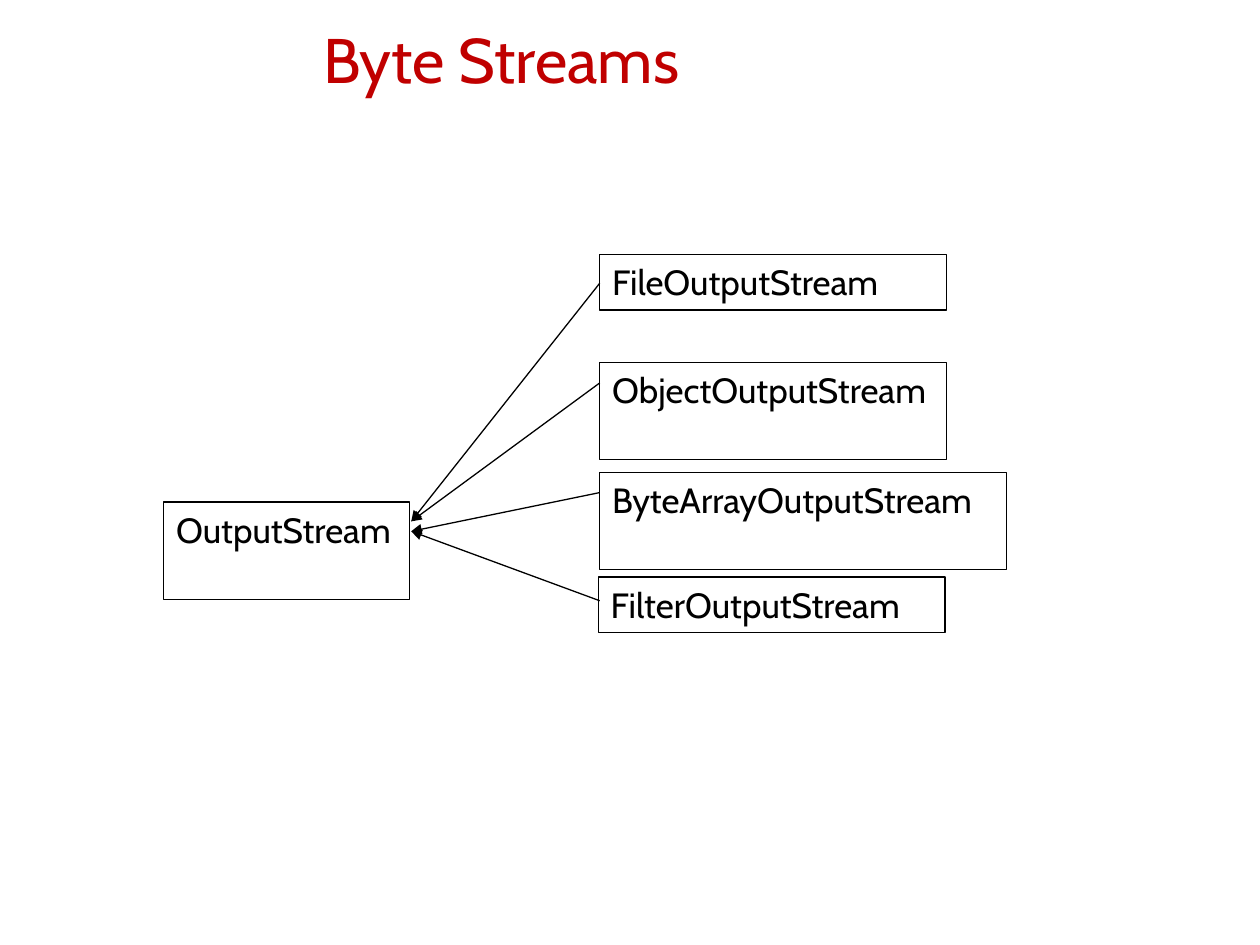
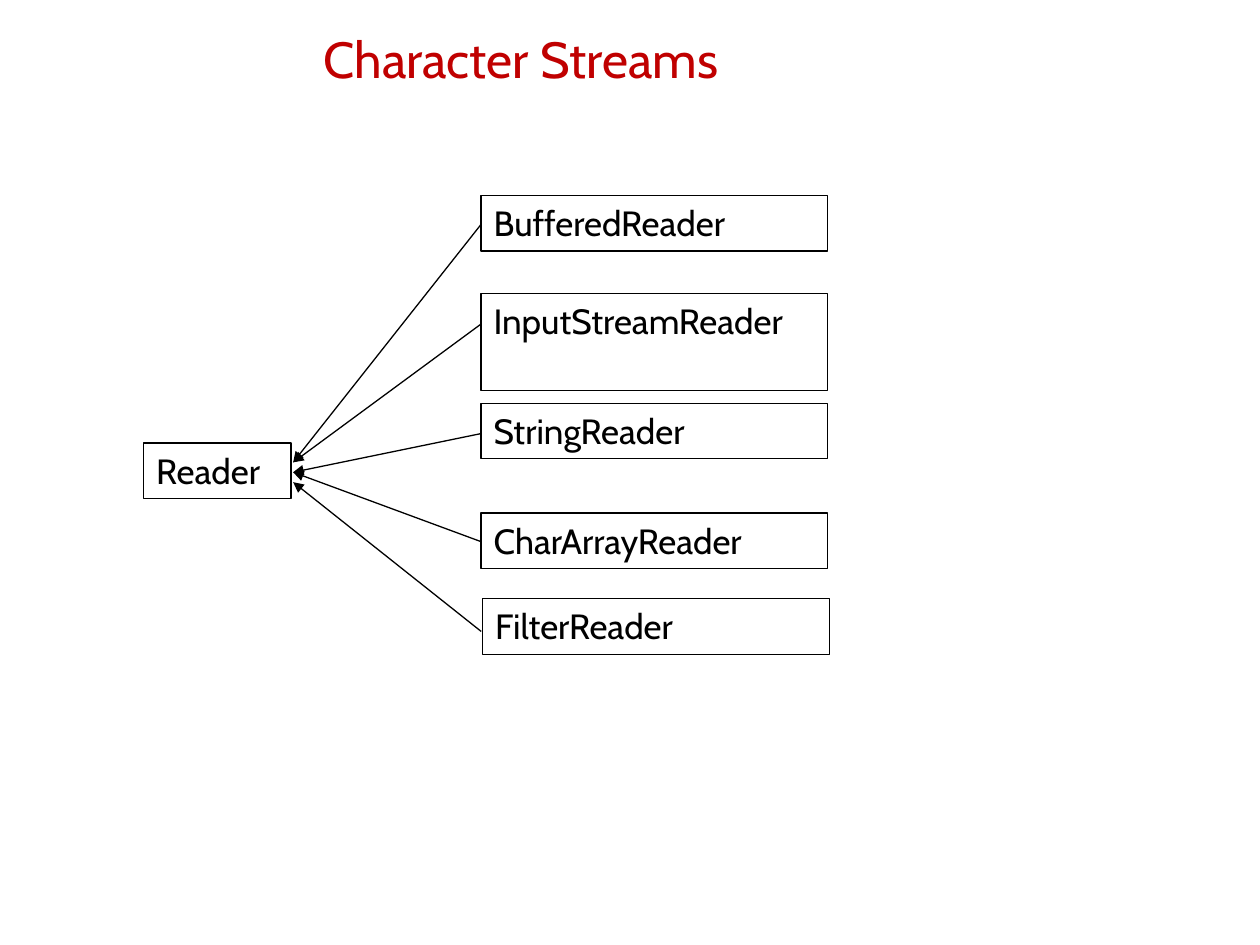
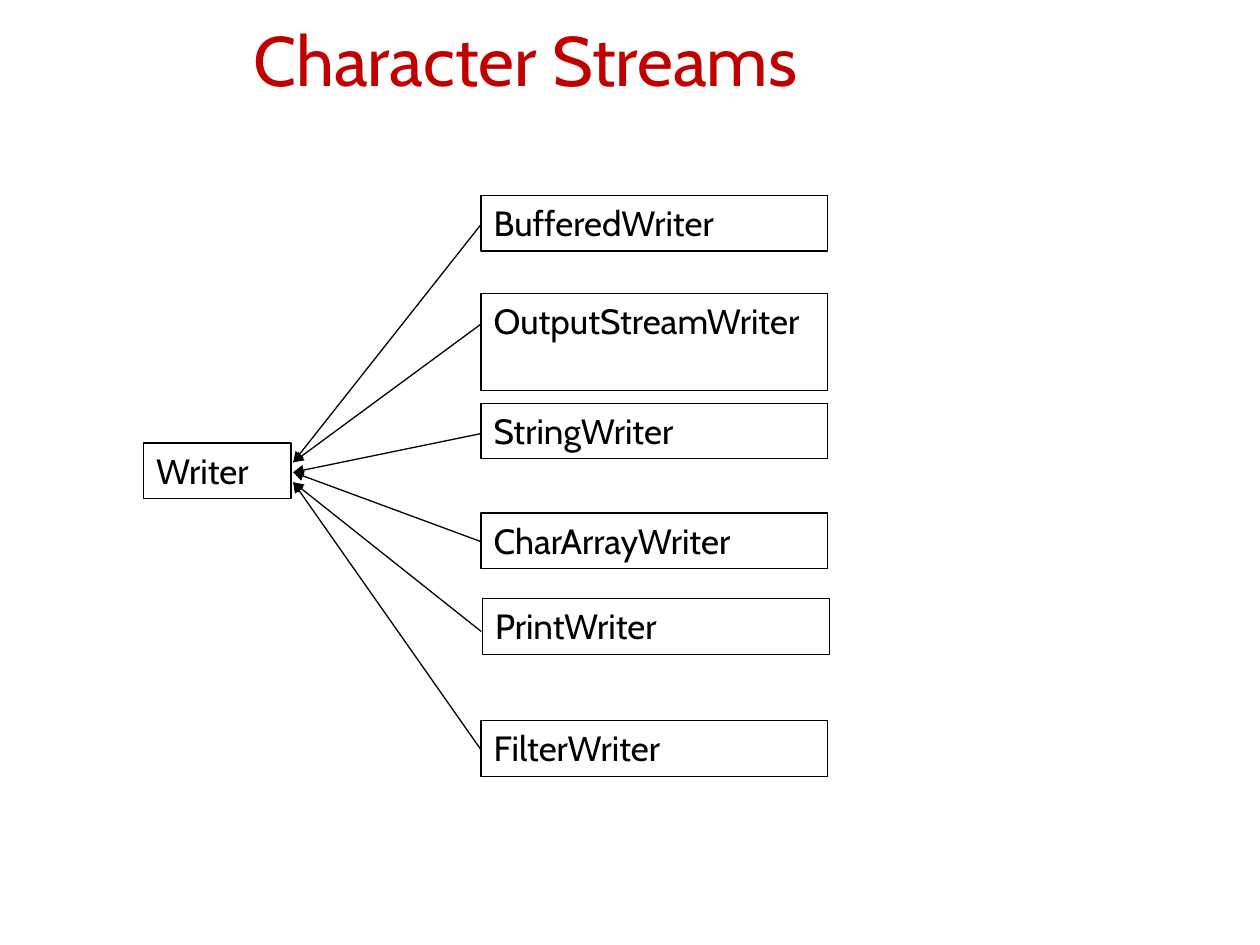
from dataclasses import dataclass

from lxml.etree import SubElement
from pptx import Presentation
from pptx.dml.color import RGBColor
from pptx.enum.shapes import MSO_CONNECTOR, MSO_SHAPE
from pptx.enum.text import MSO_ANCHOR, PP_ALIGN
from pptx.oxml.ns import qn
from pptx.util import Cm, Pt


@dataclass(frozen=True)
class Theme:
    """Colours, type and line sizes shared by all slides."""

    font: str = "Cabin"
    title_color: RGBColor = RGBColor(0xC0, 0x00, 0x00)
    ink: RGBColor = RGBColor(0x00, 0x00, 0x00)
    class_size: Pt = Pt(20)
    class_space: Pt = Pt(12.5)
    line_width: Pt = Pt(0.75)


@dataclass(frozen=True)
class Box:
    """A rectangle given by its left, top, width and height."""

    left: int
    top: int
    width: int
    height: int


@dataclass(frozen=True)
class Subclass:
    """A subclass label with its place below the top of the diagram."""

    name: str
    top: float
    height: float = 1.12
    width: float = 6.99
    shift: float = 0


@dataclass(frozen=True)
class Hierarchy:
    """A superclass and its subclasses, with the sizes of their columns."""

    name: str
    width: float
    height: float
    column: float
    subclasses: tuple


THEME = Theme()
TALL = 1.96
SUPERCLASS_TOP = 4.99
TIP_TOP, TIP_STEP, TIP_GAP = 5.38, 0.2, 0.04
ARROW_STARTS = (0.58, 2.59, 4.8, 6.98, 8.79, 11.18)


def set_text(shape, text, size, color, alignment=PP_ALIGN.LEFT):
    """Write one paragraph in the theme font and return it."""
    shape.text_frame.word_wrap = True
    paragraph = shape.text_frame.paragraphs[0]
    paragraph.text = text
    paragraph.alignment = alignment
    paragraph.font.name = THEME.font
    paragraph.font.size = size
    paragraph.font.color.rgb = color
    return paragraph


def add_title(slide, box, text, size):
    """Add the centred slide title."""
    shape = slide.shapes.add_textbox(box.left, box.top, box.width, box.height)
    shape.text_frame.vertical_anchor = MSO_ANCHOR.MIDDLE
    set_text(shape, text, size, THEME.title_color, PP_ALIGN.CENTER)


def add_class(slide, box, name):
    """Add an outlined class box."""
    shape = slide.shapes.add_shape(MSO_SHAPE.RECTANGLE, box.left, box.top, box.width, box.height)
    shape.shadow.inherit = False
    shape.fill.background()
    shape.line.color.rgb = THEME.ink
    shape.line.width = THEME.line_width
    shape.text_frame.vertical_anchor = MSO_ANCHOR.TOP
    paragraph = set_text(shape, name, THEME.class_size, THEME.ink)
    paragraph.space_before = THEME.class_space


def add_arrow(slide, tip, start):
    """Add a line whose arrowhead sits at the tip."""
    connector = slide.shapes.add_connector(MSO_CONNECTOR.STRAIGHT, *tip, *start)
    connector.line.color.rgb = THEME.ink
    connector.line.width = THEME.line_width
    SubElement(connector.line._get_or_add_ln(), qn("a:headEnd"), type="triangle")
    SubElement(connector._element.spPr, qn("a:effectLst"))


def add_hierarchy(slide, left, top, hierarchy):
    """Add a superclass with arrows from its subclasses, from the given corner."""
    superclass = Box(left, top + Cm(SUPERCLASS_TOP), Cm(hierarchy.width), Cm(hierarchy.height))
    add_class(slide, superclass, hierarchy.name)
    column = left + Cm(hierarchy.column)
    tip_left = left + superclass.width + Cm(TIP_GAP)
    for index, (subclass, start) in enumerate(zip(hierarchy.subclasses, ARROW_STARTS)):
        box = Box(column + Cm(subclass.shift), top + Cm(subclass.top),
                  Cm(subclass.width), Cm(subclass.height))
        add_class(slide, box, subclass.name)
        tip_top = top + Cm(TIP_TOP + TIP_STEP * (index // 2))
        add_arrow(slide, (tip_left, tip_top), (column, top + Cm(start)))


def build_slide(presentation, title, title_box, title_size, corner, hierarchy):
    """Add a slide with a title and a class hierarchy."""
    slide = presentation.slides.add_slide(presentation.slide_layouts[6])
    add_title(slide, title_box, title, title_size)
    add_hierarchy(slide, *corner, hierarchy)


def character_hierarchy(name, prefixes):
    """Describe the subclasses of a character stream class."""
    places = ((0, 1.12, 0), (1.98, TALL, 0), (4.19, 1.12, 0),
              (6.4, 1.12, 0), (8.13, 1.12, 0.03), (10.59, 1.12, 0))
    subclasses = tuple(Subclass(prefix + name, top, height, shift=shift)
                       for prefix, (top, height, shift) in zip(prefixes, places))
    return Hierarchy(name, 2.97, 1.12, 6.8, subclasses)


def title_box(left, width):
    """Return the title band between the given sides."""
    return Box(Cm(left), Cm(0.48), Cm(width), Cm(1.4))


def main():
    """Build and save the presentation."""
    presentation = Presentation()
    presentation.slide_width = Cm(25.4)
    presentation.slide_height = Cm(19.05)
    output_streams = Hierarchy("OutputStream", 4.95, TALL, 8.79, (
        Subclass("FileOutputStream", 0),
        Subclass("ObjectOutputStream", 2.18, TALL),
        Subclass("ByteArrayOutputStream", 4.39, TALL, 8.2),
        Subclass("FilterOutputStream", 6.5, shift=-0.03),
    ))
    readers = character_hierarchy(
        "Reader", ("Buffered", "InputStream", "String", "CharArray", "Filter"))
    writers = character_hierarchy(
        "Writer", ("Buffered", "OutputStream", "String", "CharArray", "Print", "Filter"))
    character_corner = (Cm(2.9), Cm(3.94))
    build_slide(presentation, "Byte Streams", title_box(4.01, 12.19), Pt(36),
                (Cm(3.3), Cm(5.13)), output_streams)
    build_slide(presentation, "Character Streams", title_box(2.21, 16.59), Pt(29),
                character_corner, readers)
    build_slide(presentation, "Character Streams", title_box(3.2, 14.78), Pt(40),
                character_corner, writers)
    presentation.save("out.pptx")


if __name__ == "__main__":
    main()
